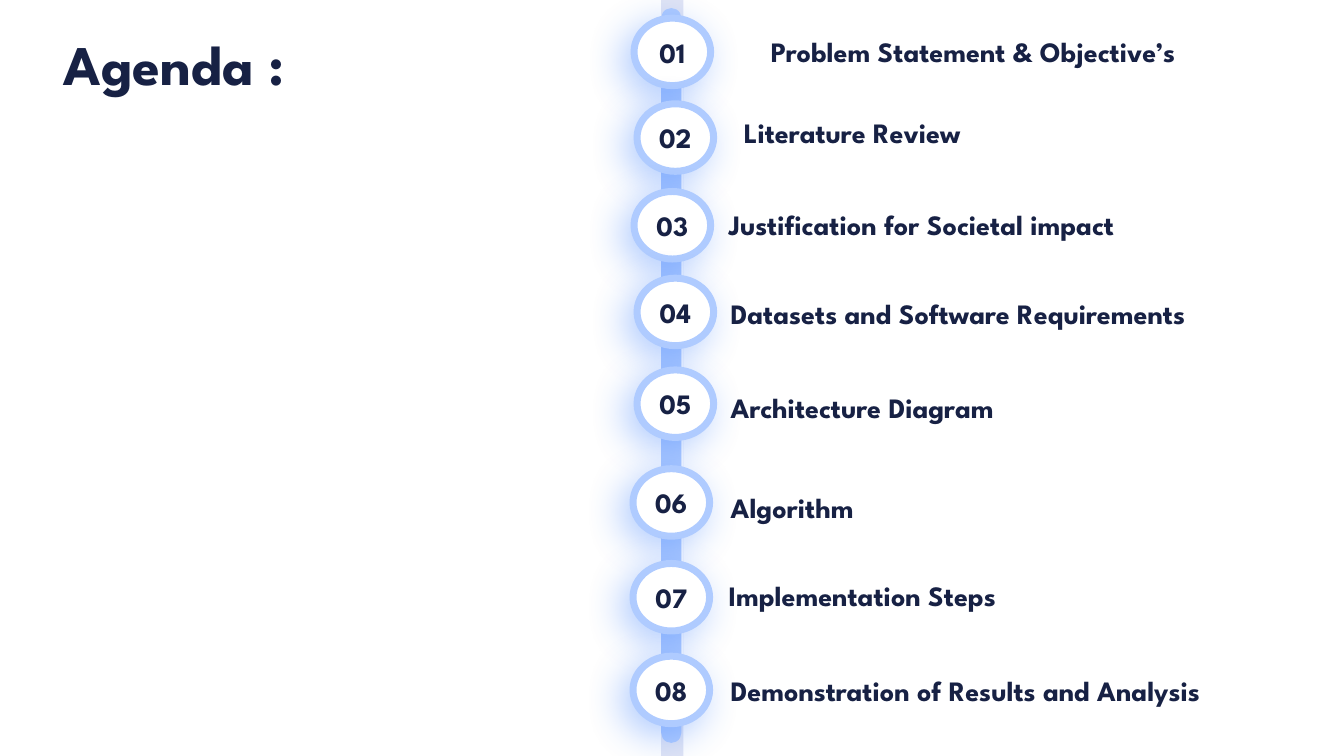
from lxml import etree
from pptx import Presentation
from pptx import util as u
from pptx.dml.color import RGBColor
from pptx.enum import shapes, text
from pptx.oxml.ns import qn

PX = 9144
FONT = "League Spartan"
INK = "172144"
WHITE = "FFFFFF"
SKY = "AFCBFF"
LAVENDER = "E0E4F4"
GLOW = "377DFF"

LEFT = text.PP_ALIGN.LEFT
CENTER = text.PP_ALIGN.CENTER
RIGHT = text.PP_ALIGN.RIGHT

AGENDA = [
    ("Problem Statement & Objective’s", (629, 18), (712, 29, 464), RIGHT),
    ("Literature Review", (632, 103), (715, 110, 248), RIGHT),
    ("Justification for Societal impact", (629, 190), (713, 201, 530), LEFT),
    ("Datasets and Software Requirements", (632, 276), (715, 289, 530), LEFT),
    ("Architecture Diagram", (632, 367), (715, 382, 525), LEFT),
    ("Algorithm", (628, 465), (715, 482, 525), LEFT),
    ("Implementation Steps", (628, 559), (713, 569, 525), LEFT),
    ("Demonstration of Results and Analysis", (628, 651), (715, 663, 525), LEFT),
]


def color(value):
    return RGBColor.from_string(value)


def emu(*lengths):
    return [u.Emu(length * PX) for length in lengths]


def write(shape, words, size, alignment, anchor):
    frame = shape.text_frame
    frame.word_wrap = True
    frame.auto_size = text.MSO_AUTO_SIZE.NONE
    frame.vertical_anchor = anchor
    paragraph = frame.paragraphs[0]
    paragraph.alignment = alignment
    run = paragraph.add_run()
    run.text = words
    run.font.name = FONT
    run.font.size = u.Pt(size)
    run.font.bold = True
    run.font.color.rgb = color(INK)


def add_filled(slide, kind, box, fill):
    shape = slide.shapes.add_shape(kind, *emu(*box))
    shape.shadow.inherit = False
    shape.fill.solid()
    shape.fill.fore_color.rgb = color(fill)
    shape.line.fill.background()
    return shape


def add_glow(shape):
    effects = shape._element.spPr.find(qn("a:effectLst"))
    shadow = etree.SubElement(
        effects, qn("a:outerShdw"), blurRad=str(u.Pt(28)), dist=str(u.Pt(9)),
        dir=str(135 * 60000), algn="tr", rotWithShape="0")
    tint = etree.SubElement(shadow, qn("a:srgbClr"), val=GLOW)
    etree.SubElement(tint, qn("a:alpha"), val="39000")


def add_title(slide, box):
    title = slide.shapes.title
    title.left, title.top, title.width, title.height = emu(*box)
    write(title, "Agenda :", 40, LEFT, text.MSO_ANCHOR.TOP)


def add_rail(slide, left, height):
    kinds = shapes.MSO_SHAPE
    add_filled(slide, kinds.RECTANGLE, (left, 0, 22, height), LAVENDER)
    for top, width, length, fill in ((79, 22, 592, WHITE), (8, 20, 729, SKY)):
        bar = add_filled(slide, kinds.ROUNDED_RECTANGLE,
                         (left, top, width, length), fill)
        bar.adjustments[0] = 0.5


def add_marker(slide, number, left, top):
    marker = add_filled(slide, shapes.MSO_SHAPE.OVAL, (left, top, 76, 67), WHITE)
    marker.line.color.rgb = color(SKY)
    marker.line.width = u.Pt(5)
    add_glow(marker)
    write(marker, f"{number:02d}", 20, CENTER, text.MSO_ANCHOR.MIDDLE)


def add_label(slide, words, left, top, width, alignment):
    label = slide.shapes.add_textbox(*emu(left, top, width, 44))
    write(label, words, 20, alignment, text.MSO_ANCHOR.TOP)


def main():
    presentation = Presentation()
    presentation.slide_width, presentation.slide_height = u.Inches(13.333), u.Inches(7.5)
    slide = presentation.slides.add_slide(presentation.slide_layouts[5])
    add_title(slide, (53, 24, 500, 77))
    add_rail(slide, 656, 750)
    for number, (words, spot, label_box, alignment) in enumerate(AGENDA, 1):
        add_marker(slide, number, *spot)
        add_label(slide, words, *label_box, alignment)
    presentation.save("out.pptx")


if __name__ == "__main__":
    main()
